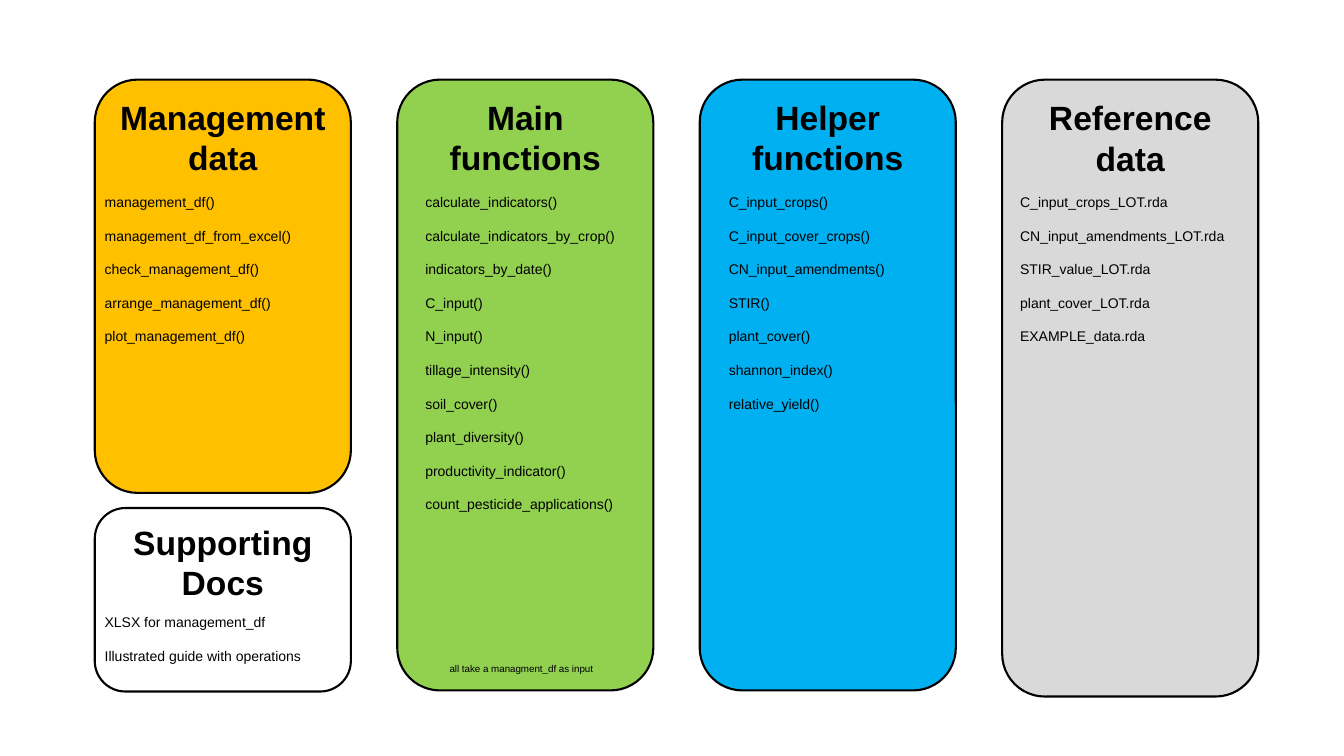
from dataclasses import dataclass

from pptx import Presentation
from pptx.dml.color import RGBColor
from pptx.enum.shapes import MSO_SHAPE
from pptx.enum.text import MSO_ANCHOR, PP_ALIGN
from pptx.util import Inches, Pt

ROUNDED = MSO_SHAPE.ROUNDED_RECTANGLE
TOP = MSO_ANCHOR.TOP
LEFT, CENTER = PP_ALIGN.LEFT, PP_ALIGN.CENTER

# Grid in inches: four equal columns
FIRST_COLUMN, COLUMN_STEP, PANEL_WIDTH = 0.94, 3.0, 2.54
UPPER_ROW, LOWER_ROW = 0.79, 5.04
UPPER_LIST, LOWER_LIST = 1.87, 6.04
BLACK = "000000"

HEADING = {"size": Pt(24), "bold": True, "name": "Arial"}
ENTRY = {"size": Pt(10), "name": "Arial"}
NOTE = {"size": Pt(7), "name": "Arial"}


@dataclass
class Panel:
    column: int
    heading: list[str]
    entries: list[str]
    height: float
    fill: str | None
    indent: float = 0.0
    list_width: float = PANEL_WIDTH
    top: float = UPPER_ROW
    list_top: float = UPPER_LIST


PANELS = [
    Panel(0, ["Management data"],
          ["management_df()", "management_df_from_excel()", "check_management_df()",
           "arrange_management_df()", "plot_management_df()"],
          4.1, "FFC000"),
    Panel(1, ["Main functions"],
          ["calculate_indicators()", "calculate_indicators_by_crop()",
           "indicators_by_date()", "C_input()", "N_input()", "tillage_intensity()",
           "soil_cover()", "plant_diversity()", "productivity_indicator()",
           "count_pesticide_applications()"],
          6.06, "92D050", 0.18, 2.18),
    Panel(2, ["Helper functions"],
          ["C_input_crops()", "C_input_cover_crops()", "CN_input_amendments()",
           "STIR()", "plant_cover()", "shannon_index()", "relative_yield()"],
          6.06, "00B0F0", 0.19, 2.18),
    Panel(3, ["Reference data"],
          ["C_input_crops_LOT.rda", "CN_input_amendments_LOT.rda",
           "STIR_value_LOT.rda", "plant_cover_LOT.rda", "EXAMPLE_data.rda"],
          6.12, "D9D9D9", 0.08),
    Panel(0, ["Supporting", "Docs"],
          ["XLSX for management_df", "Illustrated guide with operations"],
          1.82, None, top=LOWER_ROW, list_top=LOWER_LIST),
]


def color(value: str) -> RGBColor:
    return RGBColor.from_string(value)


def column_left(column: int) -> float:
    return FIRST_COLUMN + column * COLUMN_STEP


def write(box, lines: list[str], style: dict, align, gap: float = 0, wrap: bool = True) -> None:
    frame = box.text_frame
    frame.word_wrap = wrap
    frame.vertical_anchor = TOP
    for index, line in enumerate(lines):
        para = frame.add_paragraph() if index else frame.paragraphs[0]
        para.alignment = align
        para.space_after = Pt(gap)
        span = para.add_run()
        span.text = line
        span.font.color.rgb = color(BLACK)
        for key, value in style.items():
            setattr(span.font, key, value)


def add_text(page, left: float, top: float, width: float, height: float):
    return page.shapes.add_textbox(*map(Inches, (left, top, width, height)))


def draw_panel(page, panel: Panel) -> None:
    left = column_left(panel.column)
    # Rounded panel with its heading
    box = page.shapes.add_shape(
        ROUNDED, *map(Inches, (left, panel.top, PANEL_WIDTH, panel.height)))
    box.shadow.inherit = False
    if panel.fill:
        box.fill.solid()
        box.fill.fore_color.rgb = color(panel.fill)
    else:
        box.fill.background()
    box.line.color.rgb = color(BLACK)
    box.line.width = Pt(1.5)
    write(box, panel.heading, HEADING, CENTER)
    # Entries, one blank line's height apart
    list_height = 0.1 + 0.33 * len(panel.entries) - 0.16
    entries = add_text(page, left + panel.indent, panel.list_top,
                       panel.list_width, list_height)
    write(entries, panel.entries, ENTRY, LEFT, gap=12)


def main() -> None:
    deck = Presentation()
    deck.slide_width, deck.slide_height = Inches(13.33), Inches(7.5)
    page = deck.slides.add_slide(deck.slide_layouts[6])
    for panel in PANELS:
        draw_panel(page, panel)
    # Note at the foot of the main functions
    note = add_text(page, 4.36, 6.53, 1.65, 0.22)
    write(note, ["all take a managment_df as input"], NOTE, LEFT, wrap=False)
    deck.save("out.pptx")


if __name__ == "__main__":
    main()
